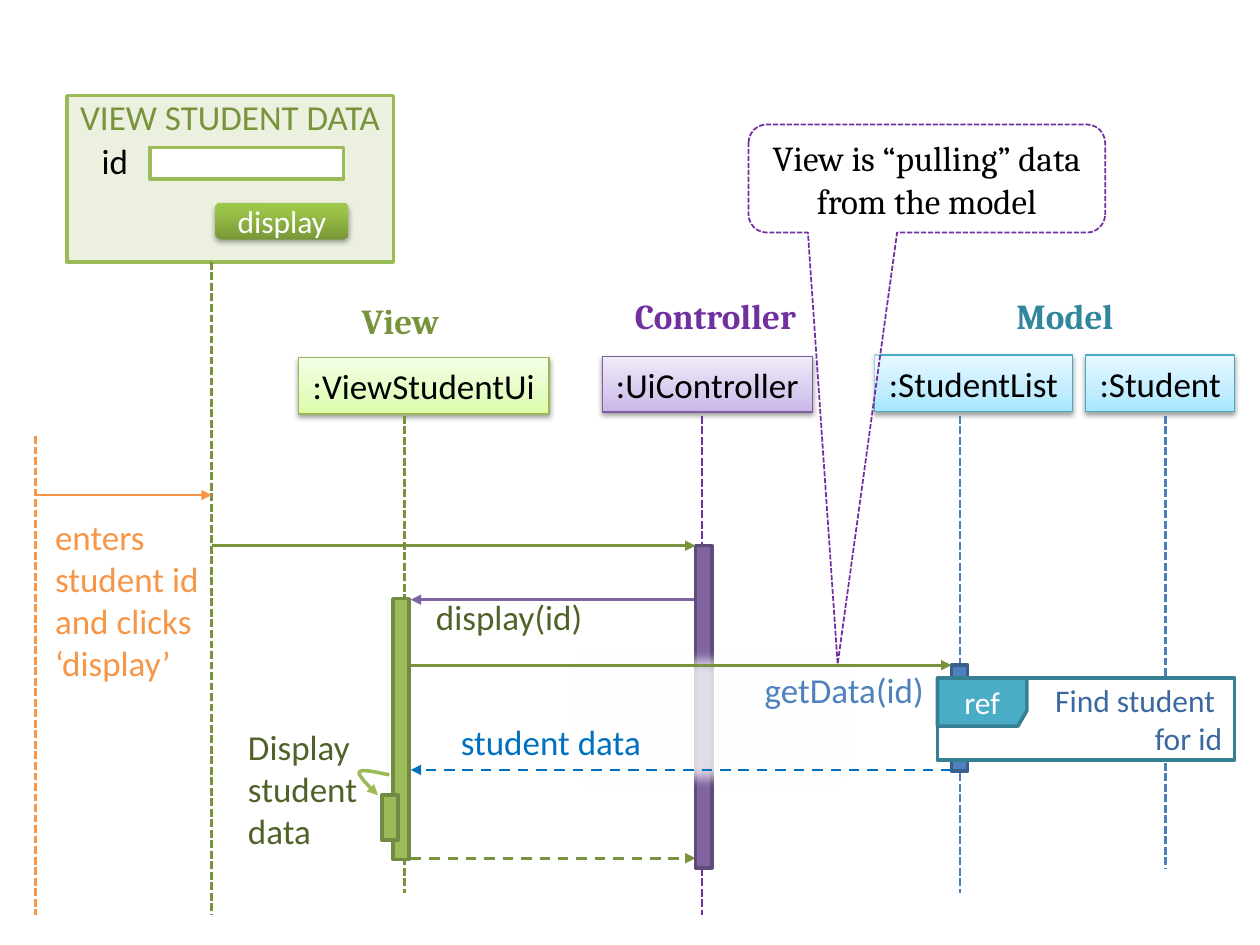
from dataclasses import dataclass

from lxml.etree import SubElement
from pptx import Presentation
from pptx.dml.color import RGBColor
from pptx.enum.dml import MSO_LINE
from pptx.enum.shapes import MSO_CONNECTOR, MSO_SHAPE
from pptx.enum.text import MSO_ANCHOR, PP_ALIGN
from pptx.oxml.ns import qn
from pptx.util import Cm, Pt

ROW, BAR = 1.12, 0.33
FORM_X, VIEW_X, CONTROLLER_X, LIST_X, STUDENT_X, USER_X = 4.27, 8.15, 14.15, 19.35, 23.5, 0.71
VIEW_EDGE, CONTROLLER_EDGE, LIST_EDGE = 8.28, 14.02, 19.18
BOTTOM, LOWEST = 18.01, 18.44
GREEN, PURPLE, BLUE, ORANGE = "77933C", "7030A0", "4B7EBC", "F79646"
GREEN_HEAD = ((0, "DAFDA7"), (35, "E4FCC2"), (100, "F5FFE7"))
PURPLE_HEAD = ((0, "C9B5E8"), (35, "D8CBEE"), (100, "F0EAF9"))
BLUE_HEAD = ((0, "A7E6FF"), (35, "C1EDFF"), (100, "E7F8FF"))
BUTTON = ((0, "779737"), (80, "9BC348"), (100, "9DC746"))


@dataclass(frozen=True)
class Box:
    left: float
    top: float
    width: float
    height: float

    def lengths(self):
        return Cm(self.left), Cm(self.top), Cm(self.width), Cm(self.height)


@dataclass(frozen=True)
class Participant:
    label: str
    box: Box
    stops: tuple
    outline: str


@dataclass(frozen=True)
class Stroke:
    start: tuple
    end: tuple
    color: str
    dash: MSO_LINE | None = None
    arrow: bool = False


@dataclass(frozen=True)
class Label:
    text: str
    box: Box
    color: str
    align: PP_ALIGN = PP_ALIGN.LEFT
    anchor: MSO_ANCHOR = MSO_ANCHOR.TOP
    wrap: bool = True
    font: str = "Calibri"
    bold: bool = False


def rgb(color: str) -> RGBColor:
    return RGBColor.from_string(color)


def write(shape, text: str, color: str, align=PP_ALIGN.CENTER, anchor=MSO_ANCHOR.MIDDLE,
          size=20, font="Calibri", wrap=True, bold=False) -> None:
    frame = shape.text_frame
    frame.word_wrap = wrap
    frame.vertical_anchor = anchor
    paragraph = frame.paragraphs[0]
    paragraph.text = text
    paragraph.alignment = align
    paragraph.font.name = font
    paragraph.font.size = Pt(size)
    paragraph.font.bold = bold
    paragraph.font.color.rgb = rgb(color)


def paint(shape, fill: str | None, outline: str | None, weight: float = 2) -> None:
    shape.shadow.inherit = False
    if fill:
        shape.fill.solid()
        shape.fill.fore_color.rgb = rgb(fill)
    else:
        shape.fill.background()
    if outline:
        shape.line.color.rgb = rgb(outline)
        shape.line.width = Pt(weight)
    else:
        shape.line.fill.background()


def add_block(shapes, box: Box, fill: str, outline: str | None = None,
              kind=MSO_SHAPE.RECTANGLE, weight: float = 2):
    block = shapes.add_shape(kind, *box.lengths())
    paint(block, fill, outline, weight)
    return block


def set_opacity(shape, percent: int) -> None:
    color = shape._element.spPr.find(qn("a:solidFill"))[0]
    SubElement(color, qn("a:alpha"), val=str(percent * 1000))


def add_raised(shapes, box: Box, stops: tuple, outline: str | None,
               kind=MSO_SHAPE.RECTANGLE, opacity: int = 38):
    block = add_block(shapes, box, "FFFFFF", outline, kind, 0.75)
    block.fill.gradient()
    block.fill.gradient_angle = 90
    properties = block._element.spPr
    stop_list = properties.find(qn("a:gradFill")).find(qn("a:gsLst"))
    for stop in list(stop_list):
        stop_list.remove(stop)
    for position, color in stops:
        stop = SubElement(stop_list, qn("a:gs"), pos=str(position * 1000))
        SubElement(stop, qn("a:srgbClr"), val=color)
    shadow = SubElement(properties.find(qn("a:effectLst")), qn("a:outerShdw"),
                        blurRad=str(Pt(3.1)), dist=str(Pt(1.6)), dir="5400000", rotWithShape="0")
    shade = SubElement(shadow, qn("a:srgbClr"), val="000000")
    SubElement(shade, qn("a:alpha"), val=str(opacity * 1000))
    return block


def add_arrowhead(shape) -> None:
    SubElement(shape.line._get_or_add_ln(), qn("a:tailEnd"), type="triangle")


def add_stroke(shapes, stroke: Stroke) -> None:
    ends = [Cm(value) for value in (*stroke.start, *stroke.end)]
    connector = shapes.add_connector(MSO_CONNECTOR.STRAIGHT, *ends)
    connector.line.color.rgb = rgb(stroke.color)
    connector.line.width = Pt(1.5)
    if stroke.dash:
        connector.line.dash_style = stroke.dash
    if stroke.arrow:
        add_arrowhead(connector)
    SubElement(connector._element.spPr, qn("a:effectLst"))


def add_lifeline(shapes, x: float, top: float, bottom: float, color: str) -> None:
    add_stroke(shapes, Stroke((x, top), (x, bottom), color, MSO_LINE.SQUARE_DOT))


def add_message(shapes, y: float, start: float, end: float, color: str, dash=None) -> None:
    add_stroke(shapes, Stroke((start, y), (end, y), color, dash, True))


def add_label(shapes, label: Label) -> None:
    write(shapes.add_textbox(*label.box.lengths()), label.text, label.color, label.align,
          label.anchor, font=label.font, wrap=label.wrap, bold=label.bold)


def add_outline(shapes, points: list, closed: bool):
    first, *rest = [(Cm(x), Cm(y)) for x, y in points]
    builder = shapes.build_freeform(*first)
    builder.add_line_segments(rest, close=closed)
    return builder.convert_to_shape()


def curve(controls: list, steps: int = 10) -> list:
    weights = (1, 3, 3, 1)
    return [tuple(sum(w * (1 - t) ** (3 - i) * t ** i * point[axis]
                      for i, (w, point) in enumerate(zip(weights, controls)))
                  for axis in (0, 1))
            for t in (step / steps for step in range(1, steps + 1))]


def add_form(shapes) -> None:
    form = add_block(shapes, Box(1.35, 1.93, 6.58, 3.35), "EBF1DE", "9BBB59")
    write(form, "VIEW STUDENT DATA", GREEN, anchor=MSO_ANCHOR.TOP)
    form.text_frame.margin_top = Cm(0)
    add_block(shapes, Box(3.02, 2.97, 3.91, 0.64), "FFFFFF", "9BBB59")
    add_label(shapes, Label("id", Box(1.8, 2.69, 1.27, ROW), "000000"))
    button = add_raised(shapes, Box(4.34, 4.09, 2.69, 0.74), BUTTON, None,
                        MSO_SHAPE.ROUNDED_RECTANGLE, 35)
    write(button, "display", "FFFFFF", size=18)


def add_reference(shapes) -> None:
    left, top = 18.9, 13.67
    frame = add_block(shapes, Box(left, top, 5.99, 1.65), "FFFFFF", "377F92")
    write(frame, "Find student \vfor id", "3B689F", PP_ALIGN.RIGHT, size=18)
    corners = ((0, 0), (1.8, 0), (1.8, 0.66), (1.62, 0.97), (0, 0.97))
    tab = add_outline(shapes, [(left + x, top + y) for x, y in corners], True)
    paint(tab, "4BACC6", "377F92")
    write(tab, "ref", "FFFFFF", size=18)


def add_self_call(shapes) -> None:
    start, turn, end = (7.85, 15.62), (7.24, 15.57), (7.62, 16.03)
    points = [start, *curve([start, (7.57, 15.57), (7.29, 15.49), turn]),
              *curve([turn, (7.21, 15.65), end, end])]
    loop = add_outline(shapes, points, False)
    paint(loop, None, "9BBB59")
    add_arrowhead(loop)


def add_veil(shapes) -> None:
    veil = add_block(shapes, Box(11.43, 12.93, 5.87, 3.12), "FFFFFF")
    set_opacity(veil, 78)
    SubElement(veil._element.spPr.find(qn("a:effectLst")), qn("a:softEdge"), rad=str(Cm(0.31)))


def add_callout(shapes) -> None:
    callout = add_block(shapes, Box(15.09, 2.51, 7.19, 2.18), "FFFFFF", PURPLE,
                        MSO_SHAPE.ROUNDED_RECTANGULAR_CALLOUT, 1)
    for index, value in enumerate((-0.25, 4.49, 0.17)):
        callout.adjustments[index] = value
    set_opacity(callout, 47)
    callout.line.dash_style = MSO_LINE.SQUARE_DOT
    write(callout, "View is “pulling” data from the model", "000000",
          anchor=MSO_ANCHOR.BOTTOM, font="Cambria")


def main() -> None:
    deck = Presentation()
    deck.slide_width, deck.slide_height = Cm(25.4), Cm(19.05)
    shapes = deck.slides.add_slide(deck.slide_layouts[6]).shapes
    for participant in (
        Participant(":UiController", Box(12.14, 7.19, 4.24, ROW), PURPLE_HEAD, "7D60A0"),
        Participant(":StudentList", Box(17.63, 7.16, 3.99, 1.14), BLUE_HEAD, "46AAC5"),
        Participant(":ViewStudentUi", Box(6.02, 7.21, 5.05, 1.14), GREEN_HEAD, "98B955"),
        Participant(":Student", Box(21.89, 7.16, 3, 1.14), BLUE_HEAD, "46AAC5"),
    ):
        head = add_raised(shapes, participant.box, participant.stops, participant.outline)
        write(head, participant.label, "000000", wrap=False)
    add_form(shapes)
    for x, top, bottom, color in (
        (VIEW_X, 8.38, BOTTOM, GREEN), (CONTROLLER_X, 8.38, LOWEST, PURPLE),
        (LIST_X, 8.38, BOTTOM, BLUE), (STUDENT_X, 8.38, 17.5, BLUE),
        (USER_X, 8.79, LOWEST, ORANGE), (FORM_X, 5.28, LOWEST, GREEN),
    ):
        add_lifeline(shapes, x, top, bottom, color)
    add_message(shapes, 12.09, CONTROLLER_EDGE, VIEW_EDGE, "8064A2")
    add_message(shapes, 17.3, VIEW_EDGE, CONTROLLER_EDGE, GREEN, MSO_LINE.DASH)
    for left, top, height, fill, outline in (
        (CONTROLLER_EDGE, 11, 6.5, "8064A2", "5F4A78"), (7.92, 12.07, 5.26, "9BBB59", "738A42"),
        (LIST_EDGE, 13.41, 2.13, "4F81BD", "3A5F8C"), (7.7, 16.03, 0.91, "9BBB59", "738A42"),
    ):
        add_block(shapes, Box(left, top, BAR, height), fill, outline)
    add_reference(shapes)
    add_message(shapes, 9.98, USER_X, FORM_X, ORANGE)
    add_message(shapes, 11, FORM_X, CONTROLLER_EDGE, GREEN)
    add_self_call(shapes)
    add_veil(shapes)
    add_message(shapes, 13.41, VIEW_EDGE, LIST_EDGE, GREEN)
    add_message(shapes, 15.52, LIST_EDGE, VIEW_EDGE, "0070C0", MSO_LINE.DASH)
    add_callout(shapes)
    middle, center = MSO_ANCHOR.MIDDLE, PP_ALIGN.CENTER
    for title, left, top, width, color in (
        ("View", 7.04, 5.89, 2.34, GREEN), ("Controller", 12.55, 5.79, 3.94, PURPLE),
        ("Model", 20.24, 5.79, 2.69, "31859C"),
    ):
        add_label(shapes, Label(title, Box(left, top, width, ROW), color,
                                anchor=MSO_ANCHOR.BOTTOM, font="Cambria", bold=True))
    for label in (
        Label("display(id)", Box(8.51, 11.86, 3.51, ROW), "4F6228", center, middle, False),
        Label("Display student data", Box(4.75, 14.5, 3.28, 2.82), "4F6228"),
        Label("enters student id and clicks ‘display’", Box(0.86, 10.24, 4.32, 3.68), ORANGE,
              anchor=middle),
        Label("student data", Box(9.04, 14.4, 4.19, ROW), "0070C0", wrap=False),
        Label("getData(id)", Box(15.14, 13.34, 3.76, ROW), "4F81BD", center, middle, False),
    ):
        add_label(shapes, label)
    deck.save("out.pptx")


if __name__ == "__main__":
    main()
